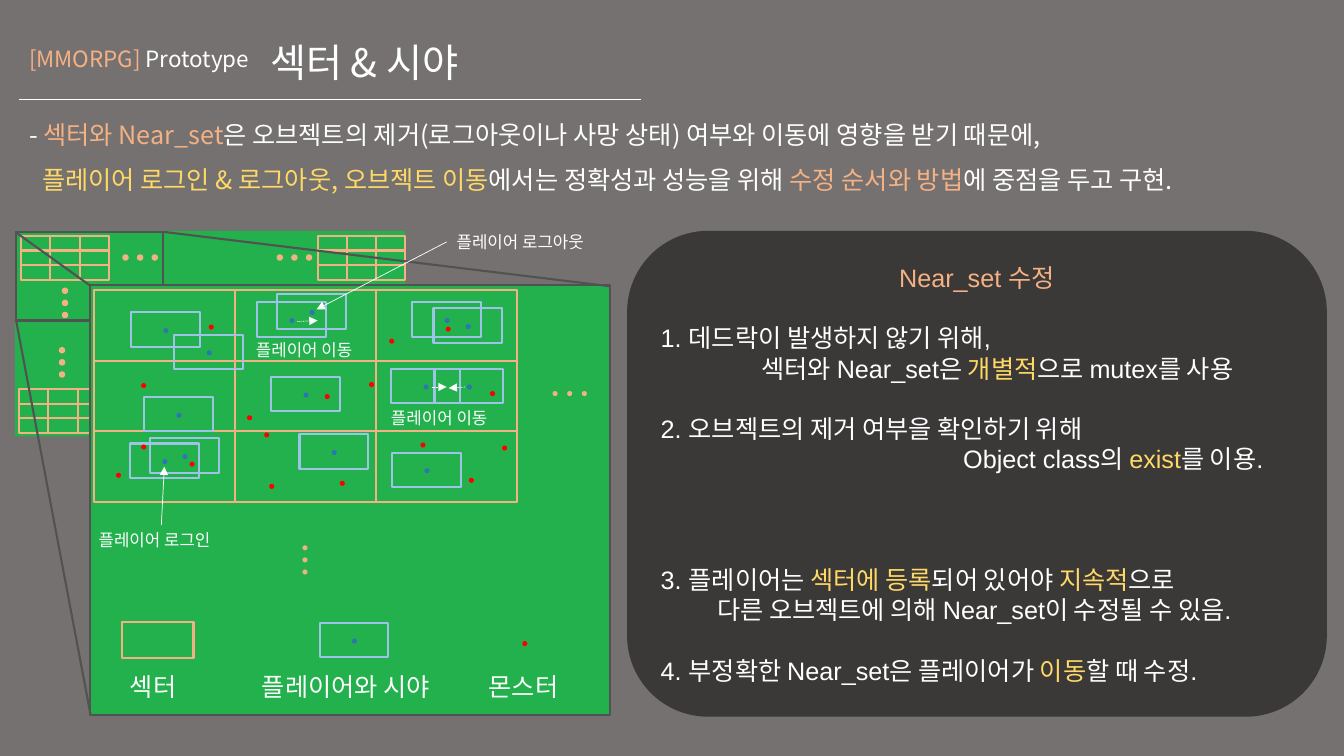
from pptx import Presentation
from pptx.dml.color import RGBColor
from pptx.enum.dml import MSO_LINE
from pptx.enum.shapes import MSO_CONNECTOR, MSO_SHAPE
from pptx.enum.text import MSO_ANCHOR, PP_ALIGN
from pptx.oxml.ns import qn
from pptx.util import Inches, Pt

RECT, ROUND, OVAL = MSO_SHAPE.RECTANGLE, MSO_SHAPE.ROUNDED_RECTANGLE, MSO_SHAPE.OVAL
TOP, MIDDLE = MSO_ANCHOR.TOP, MSO_ANCHOR.MIDDLE
LEFT, CENTER = PP_ALIGN.LEFT, PP_ALIGN.CENTER
STRAIGHT, DOTTED = MSO_CONNECTOR.STRAIGHT, MSO_LINE.ROUND_DOT
GRAY = RGBColor(0x76, 0x71, 0x71)
DARK = RGBColor(0x3B, 0x38, 0x38)
EDGE = RGBColor(0x52, 0x52, 0x52)
WHITE = RGBColor(0xFF, 0xFF, 0xFF)
PEACH = RGBColor(0xF4, 0xB1, 0x83)
GOLD = RGBColor(0xFF, 0xD9, 0x66)
GREEN = RGBColor(0x22, 0xB1, 0x4C)
SKY = RGBColor(0x9D, 0xC3, 0xE6)
BLUE = RGBColor(0x2E, 0x75, 0xB6)
RED = RGBColor(0xFF, 0x00, 0x00)
NOTO, ARIAL = "Noto Sans CJK KR", "Arial"

deck = Presentation()
deck.slide_width, deck.slide_height = Inches(13.33), Inches(7.5)
COL, ROW = deck.slide_width / 1333, deck.slide_height / 750
slide = deck.slides.add_slide(deck.slide_layouts[6])
slide.background.fill.solid()
slide.background.fill.fore_color.rgb = GRAY
shapes = slide.shapes


def draw(home, kind, x, y, w, h, fill=None, line=None, width=1.5):
    """Add a shape to home, measured in columns and rows."""
    shape = home.add_shape(kind, round(x * COL), round(y * ROW), round(w * COL), round(h * ROW))
    shape.shadow.inherit = False
    for part, color in ((shape.fill, fill), (shape.line.fill, line)):
        if color is None:
            part.background()
        else:
            part.solid()
            part.fore_color.rgb = color
    if line is not None:
        shape.line.width = Pt(width)
    return shape


def write(shape, paras, size, font=NOTO, anchor=TOP, lead=1.2):
    """Fill a shape with paragraphs of (blank lines before, indent, alignment, runs)."""
    frame = shape.text_frame
    frame.word_wrap = True
    frame.vertical_anchor = anchor
    for n, (gap, indent, align, runs) in enumerate(paras):
        para = frame.add_paragraph() if n else frame.paragraphs[0]
        para._p.get_or_add_pPr().set("marL", str(round(indent * COL)))
        form = {"alignment": align, "line_spacing": Pt(size * lead),
                "space_before": Pt(gap * size * lead)}
        for key, value in form.items():
            setattr(para, key, value)
        for text, color, *face in runs:
            run = para.add_run()
            run.text = text
            run.font.size = Pt(size)
            run.font.name = face[0] if face else font
            run.font.color.rgb = color


# Panel of Near_set rules
panel = draw(shapes, ROUND, 622, 229, 694, 482, DARK)
write(panel, [
    (0, 0, CENTER, [("Near_set 수정", PEACH)]),
    (1, 0, LEFT, [("1. 데드락이 발생하지 않기 위해,", WHITE)]),
    (0, 100, LEFT, [("섹터와 Near_set은 ", WHITE), ("개별적", GOLD), ("으로 mutex를 사용", WHITE)]),
    (1, 0, LEFT, [("2. 오브젝트의 ", WHITE), ("제거 여부", WHITE, NOTO), ("을 확인하기 위해", WHITE)]),
    (0, 300, LEFT, [("Object class의 ", WHITE), ("exist", GOLD), ("를 이용.", WHITE)]),
    (3, 0, LEFT, [("3. 플레이어는 ", WHITE), ("섹터에 등록", GOLD), ("되어 있어야 ", WHITE),
                  ("지속적", GOLD), ("으로", WHITE)]),
    (0, 56, LEFT, [("다른 오브젝트에 의해 Near_set이 수정될 수 있음.", WHITE)]),
    (1, 0, LEFT, [("4. 부정확한 Near_set은 플레이어가 ", WHITE), ("이동", GOLD), ("할 때 수정.", WHITE)]),
], 18, ARIAL, MIDDLE)

# World map, then the enlarged part of it
draw(shapes, RECT, 15, 229, 387, 204, GREEN)
GRIDS = [(21, 234, 29, 14.5), (315, 234, 29, 14.5), (19, 386, 29, 14.5), (93, 288, 140, 70)]
DOTS = [(122, 253, 14.5, 0), (275, 253, 14.5, 0), (62, 286, 0, 12), (59, 345, 0, 12),
        (548, 388, 14.5, 0), (300, 541, 0, 12)]
MAP, ZOOM = (GRIDS[:3], DOTS[:4], 1), (GRIDS[3:], DOTS[4:], None)
for grids, dots, rim in (MAP, ZOOM):
    if rim is None:
        draw(shapes, RECT, 16, 230, 146, 88, line=EDGE)
        draw(shapes, RECT, 89, 283, 516, 426, GREEN, EDGE)
    for x, y, w, h in grids:
        for n in range(9):
            draw(shapes, RECT, x + n % 3 * w, y + n // 3 * h, w, h, line=PEACH)
    for x, y, dx, dy in dots:
        for n in range(3):
            draw(shapes, OVAL, x + n * dx, y + n * dy, 5, 5, PEACH, PEACH if rim else None, 1)

# Players with their sight, monsters, and the sector of the legend
SIGHTS = [(130, 310), (173, 332), (255, 300), (275, 292), (297, 431), (143, 394), (388, 366),
          (269, 374), (129, 440), (430, 306), (389, 449), (431, 366), (317, 618), (409, 300),
          (149, 435)]
for x, y in SIGHTS:
    player = shapes.add_group_shape().shapes
    draw(player, RECT, x, y, 68, 34, line=SKY)
    draw(player, OVAL, x + 32, y + 15.5, 5, 5, BLUE)
MOBS = [(245, 412), (322, 391), (386, 336), (207, 322), (188, 458), (417, 439), (337, 477),
        (442, 324), (262, 429), (140, 380), (465, 474), (518, 636), (115, 469), (267, 480),
        (140, 441), (366, 379), (498, 442), (486, 388)]
for x, y in MOBS:
    draw(shapes, OVAL, x, y, 5, 5, RED)
draw(shapes, RECT, 121, 617, 71, 36, line=PEACH)

# Headings and labels: place, size, anchor, line height, paragraphs
INTRO = [
    (0, 0, LEFT, [("- ", WHITE), ("섹터와 Near_set", PEACH),
                  ("은 오브젝트의 제거(로그아웃이나 사망 상태) 여부와 이동에 영향을 받기 때문에,", WHITE)]),
    (0, 13, LEFT, [("플레이어 로그인 & 로그아웃, 오브젝트 이동", GOLD),
                   ("에서는 정확성과 성능을 위해 ", WHITE), ("수정 순서와 방법", PEACH),
                   ("에 중점을 두고 구현.", WHITE)]),
]
HEAD = [(0, 0, LEFT, [("[MMORPG] ", PEACH), ("Prototype", WHITE)])]
TEXTS = [
    (19, 40, 298, 37, 16, TOP, 1.2, HEAD),
    (258, 17, 572, 89, 28, MIDDLE, 1.2, "섹터 & 시야"),
    (19, 107, 1289, 82, 18, MIDDLE, 1.8, INTRO),
    (119, 661, 71, 40, 18, TOP, 1.2, "섹터"),
    (250, 661, 206, 40, 18, TOP, 1.2, "플레이어와 시야"),
    (475, 661, 96, 40, 18, TOP, 1.2, "몬스터"),
    (443, 225, 161, 30, 12, TOP, 1.2, "플레이어 로그아웃"),
    (244, 332, 127, 30, 12, TOP, 1.2, "플레이어 이동"),
    (378, 400, 127, 30, 12, TOP, 1.2, "플레이어 이동"),
    (88, 521, 144, 30, 12, TOP, 1.2, "플레이어 로그인"),
]
for x, y, w, h, size, anchor, lead, words in TEXTS:
    box = shapes.add_textbox(round(x * COL), round(y * ROW), round(w * COL), round(h * ROW))
    paras = [(0, 0, LEFT, [(words, WHITE)])] if isinstance(words, str) else words
    write(box, paras, size, anchor=anchor, lead=lead)

# Rule, zoom edges and arrows: ends, colour, width, arrowhead, dotted
LINES = [
    (636, 99, 19, 99, WHITE, 0.5, False, False),
    (16, 318, 90, 710, EDGE, 1.5, False, False),
    (162, 230, 605, 284, EDGE, 1.5, False, False),
    (15, 230, 89, 283, EDGE, 1.5, False, False),
    (295, 319, 315, 318, WHITE, 0.5, True, True),
    (443, 240, 314, 307, WHITE, 0.5, True, False),
    (428, 384, 443, 384, WHITE, 0.5, True, True),
    (461, 384, 445, 385, WHITE, 0.5, True, True),
    (160, 521, 163, 463, WHITE, 0.5, True, False),
]
for x, y, u, v, color, width, arrow, dotted in LINES:
    link = shapes.add_connector(STRAIGHT, round(x * COL), round(y * ROW),
                                round(u * COL), round(v * ROW))
    link.line.color.rgb = color
    link.line.width = Pt(width)
    if dotted:
        link.line.dash_style = DOTTED
    props = link._element.spPr
    if arrow:
        tip = props.find(qn("a:ln")).makeelement(qn("a:tailEnd"), {"type": "triangle"})
        props.find(qn("a:ln")).append(tip)
    props.append(props.makeelement(qn("a:effectLst"), {}))

deck.save("out.pptx")
